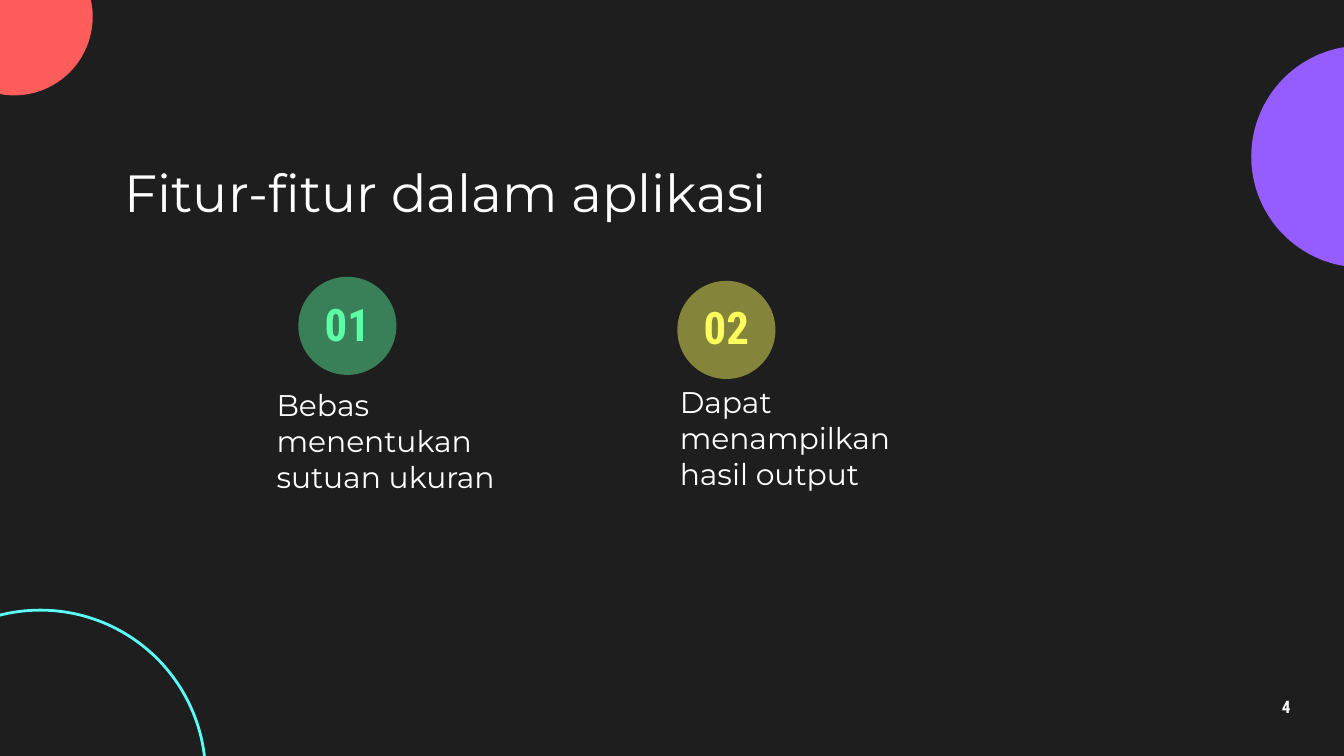
"""Build the slide listing the features of the application."""
from dataclasses import dataclass
from typing import Optional

from lxml.etree import SubElement
from pptx import Presentation
from pptx.dml.color import RGBColor
from pptx.enum.shapes import MSO_SHAPE as Shape
from pptx.enum.text import MSO_ANCHOR as Anchor, PP_ALIGN as Align
from pptx.oxml.ns import qn
from pptx.slide import Slide
from pptx.util import Inches, Pt


@dataclass(frozen=True)
class Theme:
    background: str = "1E1E1E"
    text: str = "FFFFFF"
    purple: str = "955CFF"
    red: str = "FF5C5C"
    cyan: str = "5CFFF8"
    green: str = "5CFFA6"
    yellow: str = "FDFF5C"
    body_font: str = "Montserrat"
    number_font: str = "Roboto Condensed"
    title_size: float = 28
    body_size: float = 16
    number_size: float = 24
    page_size: float = 9.2
    outline: float = 1.5
    inset: float = 0.1


@dataclass(frozen=True)
class Box:
    left: float
    top: float
    width: float
    height: float

    def lengths(self) -> tuple:
        return tuple(Inches(n) for n in (self.left, self.top, self.width, self.height))


@dataclass(frozen=True)
class Circle:
    left: float
    top: float
    diameter: float
    color: str
    opacity: int = 100
    filled: bool = True


@dataclass(frozen=True)
class Style:
    font: str
    size: float
    color: str
    bold: bool = False
    align: Align = Align.LEFT
    spacing: Optional[float] = None


@dataclass(frozen=True)
class Feature:
    number: str
    caption: str
    badge: Circle
    number_top: float
    caption_box: Box


THEME = Theme()
BADGE = 0.73
DECORATIONS = (
    Circle(9.31, 0.34, 1.65, THEME.purple),
    Circle(-0.48, -0.46, 1.17, THEME.red),
    Circle(-0.93, 4.54, 2.46, THEME.cyan, filled=False),
)
FEATURES = (
    Feature("01", "Bebas menentukan sutuan ukuran",
            Circle(2.22, 2.06, BADGE, THEME.green, 44), 2.16, Box(1.96, 2.66, 1.97, 1.24)),
    Feature("02", "Dapat menampilkan hasil output",
            Circle(5.04, 2.09, BADGE, THEME.yellow, 46), 2.18, Box(4.96, 2.78, 2.07, 0.95)),
)


def draw_circle(slide: Slide, circle: Circle) -> None:
    """Draw a filled or outlined circle."""
    box = Box(circle.left, circle.top, circle.diameter, circle.diameter)
    disc = slide.shapes.add_shape(Shape.OVAL, *box.lengths())
    disc.shadow.inherit = False
    color = RGBColor.from_string(circle.color)
    if not circle.filled:
        disc.fill.background()
        disc.line.color.rgb = color
        disc.line.width = Pt(THEME.outline)
        return
    disc.line.fill.background()
    disc.fill.solid()
    disc.fill.fore_color.rgb = color
    if circle.opacity < 100:
        rgb = disc.fill._xPr.find(qn("a:solidFill")).find(qn("a:srgbClr"))
        SubElement(rgb, qn("a:alpha"), val=str(circle.opacity * 1000))


def draw_text(slide: Slide, text: str, box: Box, style: Style) -> None:
    """Write one vertically centred paragraph in a text box."""
    frame = slide.shapes.add_textbox(*box.lengths()).text_frame
    frame.word_wrap = True
    frame.vertical_anchor = Anchor.MIDDLE
    frame.margin_left = frame.margin_right = Inches(THEME.inset)
    frame.margin_top = frame.margin_bottom = Inches(THEME.inset)
    paragraph = frame.paragraphs[0]
    paragraph.alignment = style.align
    paragraph.line_spacing = style.spacing
    run = paragraph.add_run()
    run.text = text
    run.font.name = style.font
    run.font.size = Pt(style.size)
    run.font.bold = style.bold
    run.font.color.rgb = RGBColor.from_string(style.color)


def draw_feature(slide: Slide, feature: Feature) -> None:
    """Draw a numbered badge with its caption."""
    badge = feature.badge
    draw_circle(slide, badge)
    draw_text(slide, feature.caption, feature.caption_box,
              Style(THEME.body_font, THEME.body_size, THEME.text))
    draw_text(slide, feature.number, Box(badge.left, feature.number_top, BADGE, 0.5),
              Style(THEME.number_font, THEME.number_size, badge.color, True, Align.CENTER))


def main() -> None:
    """Assemble and save the presentation."""
    deck = Presentation()
    deck.slide_width, deck.slide_height = Inches(10), Inches(10 * 9 / 16)
    slide = deck.slides.add_slide(deck.slide_layouts[6])
    slide.background.fill.solid()
    slide.background.fill.fore_color.rgb = RGBColor.from_string(THEME.background)
    for decoration in DECORATIONS:
        draw_circle(slide, decoration)
    draw_text(slide, "Fitur-fitur dalam aplikasi", Box(0.83, 1.17, 8.44, 0.51),
              Style(THEME.body_font, THEME.title_size, THEME.text))
    for feature in FEATURES:
        draw_feature(slide, feature)
    draw_text(slide, "4", Box(9.27, 5.1, 0.6, 0.34),
              Style(THEME.number_font, THEME.page_size, THEME.text, True, Align.CENTER, 0.9))
    deck.save("out.pptx")


if __name__ == "__main__":
    main()
